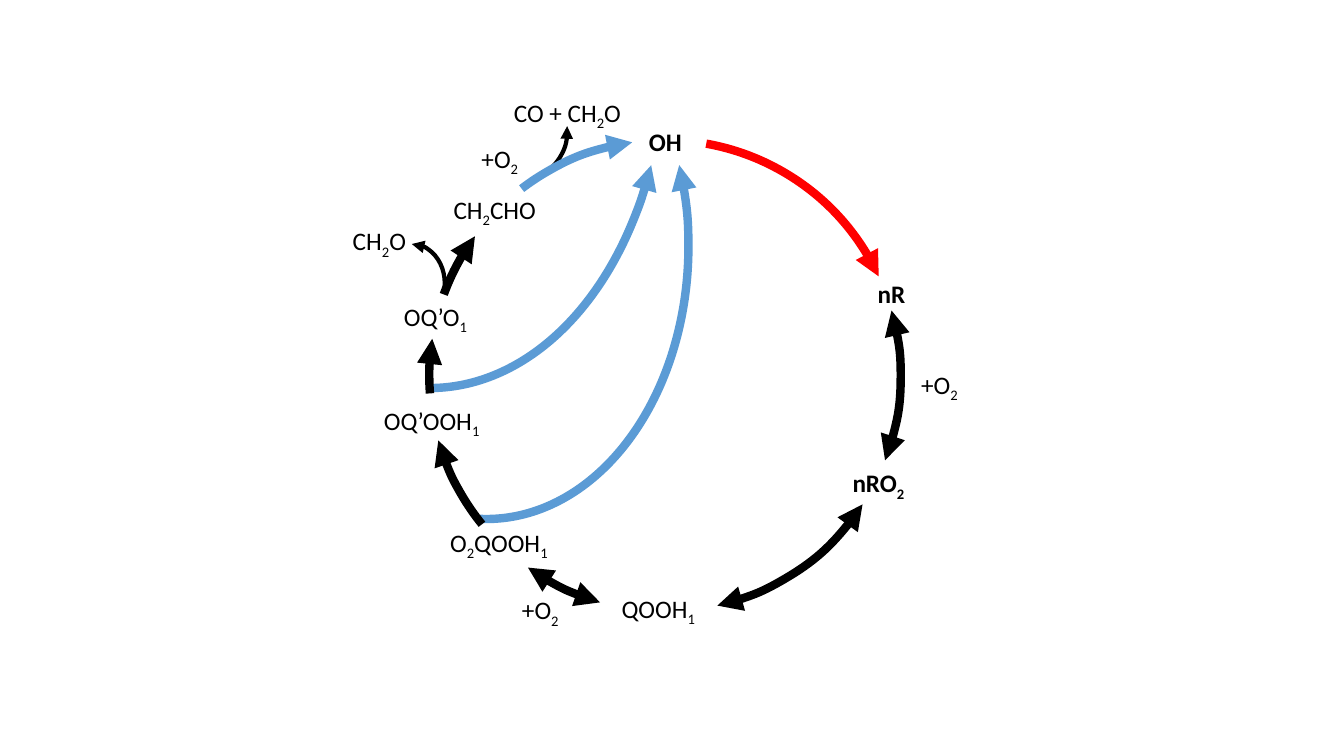
import dataclasses
import itertools

import lxml.etree
import pptx
import pptx.dml.color
import pptx.enum.shapes
import pptx.enum.text
import pptx.oxml.ns
import pptx.util

Cm = pptx.util.Cm
Pt = pptx.util.Pt
SHAPES = pptx.enum.shapes.MSO_SHAPE


@dataclasses.dataclass(frozen=True)
class Theme:
    font: str = "Calibri"
    label_size: int = 18
    subscript: str = "-25000"
    text_outline: float = 0.75
    thick: int = 6
    thin: int = 3
    label_height: float = 1.02
    black: str = "000000"
    white: str = "FFFFFF"
    red: str = "FF0000"
    blue: str = "5B9BD5"


def rgb(color):
    return pptx.dml.color.RGBColor.from_string(color)


def add_child(parent, tag, **attributes):
    return lxml.etree.SubElement(parent, pptx.oxml.ns.qn(tag), attributes)


def write_formula(para, text, *, font, size, color, bold, subscript, outline):
    for is_index, letters in itertools.groupby(text, str.isdigit):
        span = para.add_run()
        span.text = "".join(letters)
        span.font.name = font
        span.font.size = Pt(size)
        span.font.bold = bold
        span.font.color.rgb = rgb(color)
        properties = span._r.get_or_add_rPr()
        if is_index:
            properties.set("baseline", subscript)
        if outline:
            line = add_child(properties, "a:ln", w=str(Pt(outline)))
            add_child(add_child(line, "a:solidFill"), "a:srgbClr", val=color)
            properties.insert(0, line)


class CycleSlide:
    def __init__(self, deck, theme):
        self.theme = theme
        self.page = deck.slides.add_slide(deck.slide_layouts[6])

    def shape(self, kind, left, top, width, height, color, weight):
        shape = self.page.shapes.add_shape(
            kind, Cm(left), Cm(top), Cm(width), Cm(height))
        shape.shadow.inherit = False
        shape.line.color.rgb = rgb(color)
        shape.line.width = Pt(weight)
        return shape

    def panel(self, left, top, width, height):
        panel = self.shape(SHAPES.RECTANGLE, left, top, width, height,
                           self.theme.white, 1)
        panel.fill.solid()
        panel.fill.fore_color.rgb = rgb(self.theme.white)

    def arc(self, ellipse, start, end, arrows, color, weight):
        center_x, center_y, radius_x, radius_y = ellipse
        arc = self.shape(SHAPES.ARC, center_x - radius_x, center_y - radius_y,
                         2 * radius_x, 2 * radius_y, color, weight)
        arc.fill.background()
        for index, degrees in enumerate((start, end)):
            arc.adjustments[index] = degrees * 0.6
        for side in arrows:
            add_child(arc.line._get_or_add_ln(), f"a:{side}End", type="triangle")

    def label(self, text, center_x, center_y, width, bold=False, outlined=False):
        theme = self.theme
        box = self.page.shapes.add_textbox(
            Cm(center_x - width / 2), Cm(center_y - theme.label_height / 2),
            Cm(width), Cm(theme.label_height))
        frame = box.text_frame
        frame.word_wrap = False
        frame.auto_size = pptx.enum.text.MSO_AUTO_SIZE.SHAPE_TO_FIT_TEXT
        write_formula(frame.paragraphs[0], text, font=theme.font,
                      size=theme.label_size, color=theme.black, bold=bold,
                      subscript=theme.subscript,
                      outline=theme.text_outline if outlined else None)


def main():
    deck = pptx.Presentation()
    deck.slide_width, deck.slide_height = Cm(33.87), Cm(19.05)
    theme = Theme()
    slide = CycleSlide(deck, theme)
    slide.panel(8.26, 2.03, 16.56, 14.3)

    cycle = (16.76, 9.47, 5.94, 5.94)
    lower_branch = (12.26, 6.21, 5.09, 6.87)
    upper_branch = (10.83, 1.3, 5.93, 8.48)
    top_release = (13.03, 3.3, 1.27, 1.27)
    left_release = (10.38, 7.14, 0.83, 0.99)
    forward, backward, both = ("tail",), ("head",), ("head", "tail")

    for ellipse, start, end, arrows, color, weight in (
        (top_release, 354.6, 63.63, backward, theme.black, theme.thin),
        (cycle, 280.08, 335.06, forward, theme.red, theme.thick),
        (cycle, 343.94, 21.02, both, theme.black, theme.thick),
        (cycle, 33.06, 77.17, both, theme.black, theme.thick),
        (cycle, 105.99, 125.55, both, theme.black, theme.thick),
        (cycle, 200.18, 216.27, forward, theme.black, theme.thick),
        (lower_branch, 337.14, 91.34, backward, theme.blue, theme.thick),
        (upper_branch, 27.18, 90.12, backward, theme.blue, theme.thick),
        (cycle, 175.71, 189.02, forward, theme.black, theme.thick),
        (cycle, 140.94, 164.08, forward, theme.black, theme.thick),
        (cycle, 232.54, 262, forward, theme.blue, theme.thick),
        (left_release, 270, 12, backward, theme.black, theme.thin),
    ):
        slide.arc(ellipse, start, end, arrows, color, weight)

    for text, center_x, center_y, width in (
        ("OH", 16.78, 3.58, 1.35),
        ("nR", 22.48, 7.39, 1.22),
        ("nRO2", 22.16, 12.17, 1.85),
    ):
        slide.label(text, center_x, center_y, width, bold=True)

    for text, center_x, center_y, width in (
        ("QOOH1", 16.62, 15.34, 2.41),
        ("O2QOOH1", 12.62, 13.67, 3.05),
        ("OQ’OOH1", 10.91, 10.59, 2.97),
        ("OQ’O1", 11.01, 7.98, 2.16),
        ("CH2CHO", 12.5, 5.28, 2.64),
    ):
        slide.label(text, center_x, center_y, width, outlined=True)

    for text, center_x, center_y, width in (
        ("+O2", 23.7, 9.68, 1.47),
        ("+O2", 13.64, 15.37, 1.47),
        ("CH2O", 9.59, 6.07, 1.9),
        ("+O2", 12.62, 3.99, 1.47),
        ("CO + CH2O", 14.34, 2.84, 3.28),
    ):
        slide.label(text, center_x, center_y, width)

    deck.save("out.pptx")


if __name__ == "__main__":
    main()
